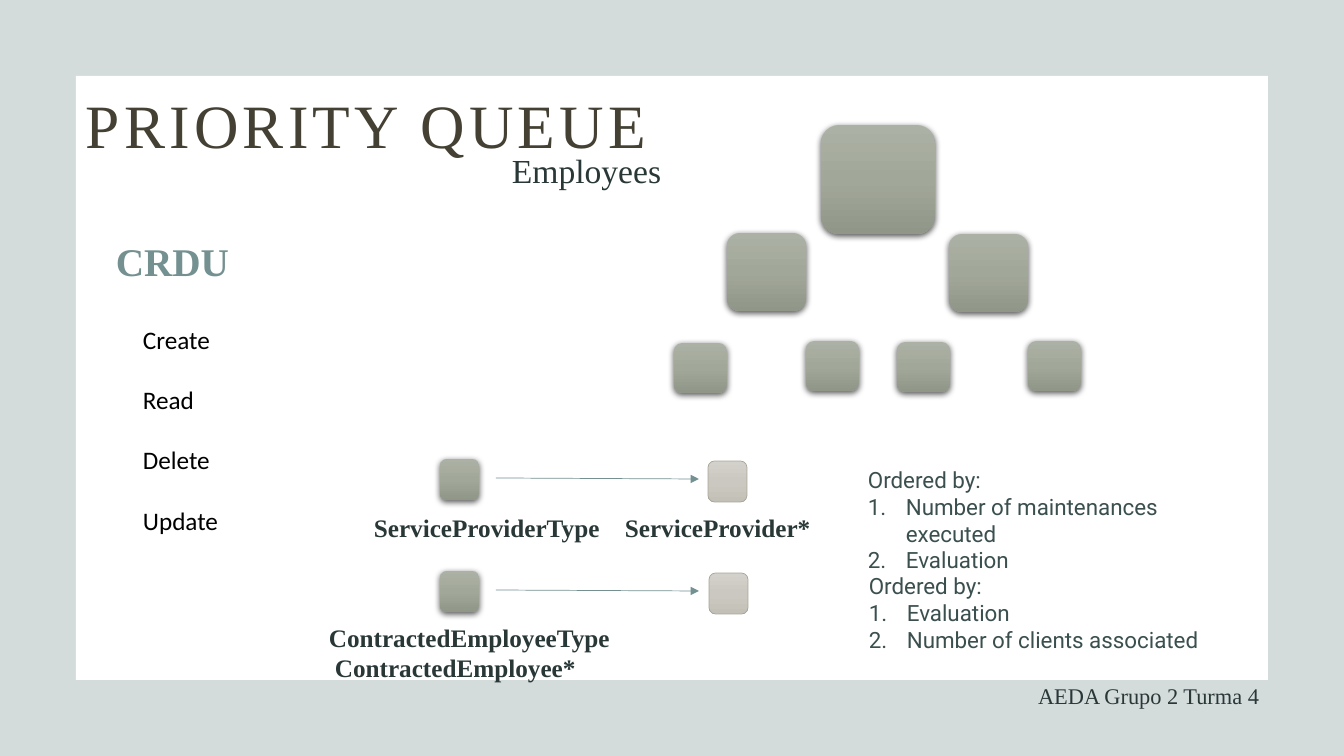
from lxml import etree
from pptx import Presentation
from pptx import util as u
from pptx.dml.color import RGBColor
from pptx.enum import shapes, text
from pptx.oxml import parse_xml
from pptx.oxml.ns import nsdecls, qn

WIDTH, HEIGHT = 1344, 756
SCALE = 12192000 / WIDTH

WHITE = RGBColor(0xFF, 0xFF, 0xFF)
BLACK = RGBColor(0x00, 0x00, 0x00)
FRAME = RGBColor(0x55, 0x72, 0x72)
INK = RGBColor(0x29, 0x37, 0x37)
TITLE = RGBColor(0x44, 0x40, 0x33)
TEAL = RGBColor(0x74, 0x90, 0x90)
SLATE = RGBColor(0x3B, 0x4F, 0x4F)
EDGE = RGBColor(0xA9, 0xA6, 0x98)
DARK_NODE = [RGBColor(0xAC, 0xB1, 0xA5), RGBColor(0xA2, 0xA8, 0x99), RGBColor(0x90, 0x96, 0x88)]
LIGHT_NODE = [RGBColor(0xD3, 0xD1, 0xCB), RGBColor(0xCA, 0xC8, 0xC0), RGBColor(0xC3, 0xC1, 0xB7)]
SERIF, SANS, BODY = "Times New Roman", "Roboto", "Calibri"


def px(length):
    return u.Emu(round(length * SCALE))


class Painter:
    """Draws elements on one page, with all lengths in px."""

    def __init__(self, page):
        self.page = page

    def shape(self, kind, *place):
        shape = self.page.shapes.add_shape(kind, *map(px, place))
        shape.shadow.inherit = False
        shape.line.fill.background()
        return shape

    def panel(self, place, colour, opacity=100):
        panel = self.shape(shapes.MSO_SHAPE.RECTANGLE, *place)
        panel.fill.solid()
        panel.fill.fore_color.rgb = colour
        if opacity < 100:
            tint = panel._element.spPr.find(".//" + qn("a:srgbClr"))
            etree.SubElement(tint, qn("a:alpha")).set("val", str(opacity * 1000))

    def node(self, place, colours, edge=None):
        """Rounded square with a vertical gradient: outlined if edge is given, else shadowed."""
        node = self.shape(shapes.MSO_SHAPE.ROUNDED_RECTANGLE, *place)
        stops = "".join(f'<a:gs pos="{i * 50000}"><a:srgbClr val="{c}"/></a:gs>'
                        for i, c in enumerate(colours))
        properties = node._element.spPr
        properties.insert(2, parse_xml(
            f'<a:gradFill {nsdecls("a")} rotWithShape="1"><a:gsLst>{stops}</a:gsLst>'
            '<a:lin ang="5400000" scaled="0"/></a:gradFill>'))
        if edge is not None:
            node.line.color.rgb = edge
            node.line.width = u.Pt(0.5)
        else:
            properties.find(qn("a:effectLst")).append(parse_xml(
                f'<a:outerShdw {nsdecls("a")} blurRad="57150" dist="19050" dir="5400000" '
                'algn="ctr" rotWithShape="0"><a:srgbClr val="000000">'
                '<a:alpha val="63000"/></a:srgbClr></a:outerShdw>'))

    def arrow(self, *ends):
        arrow = self.page.shapes.add_connector(shapes.MSO_CONNECTOR.STRAIGHT, *map(px, ends))
        arrow.line.color.rgb = TEAL
        arrow.line.width = u.Pt(0.5)
        outline = arrow._element.spPr.find(qn("a:ln"))
        etree.SubElement(outline, qn("a:tailEnd")).set("type", "triangle")
        etree.SubElement(arrow._element.spPr, qn("a:effectLst"))

    def label(self, place, lines, size, font, colour, bold=False, align=None, anchor=None,
              leading=None, gap=0, spacing=0, tab=None, indent=0, numbered=False):
        """Text box; indent, hanging number and gap apply from the second line on."""
        box = self.page.shapes.add_textbox(*map(px, place)).text_frame
        box.word_wrap = True
        box.vertical_anchor = anchor or text.MSO_ANCHOR.TOP
        for index, line in enumerate(lines):
            para = box.paragraphs[0] if index == 0 else box.add_paragraph()
            para.alignment = align
            para.line_spacing = leading
            properties = para._p.get_or_add_pPr()
            if index:
                if gap:
                    para.space_before = u.Pt(gap)
                if indent:
                    properties.set("marL", str(px(indent)))
                if numbered:
                    properties.set("indent", str(-px(indent)))
                    etree.SubElement(properties, qn("a:buAutoNum")).set("type", "arabicPeriod")
            if tab:
                stops = etree.SubElement(properties, qn("a:tabLst"))
                etree.SubElement(stops, qn("a:tab"), pos=str(px(tab)), algn="l")
            span = para.add_run()
            span.text = line
            span.font.size = u.Pt(size)
            span.font.name = font
            span.font.bold = bold
            span.font.color.rgb = colour
            if spacing:
                span._r.get_or_add_rPr().set("spc", str(spacing * 100))


def draw(painter):
    painter.panel((0, 0, WIDTH, HEIGHT), FRAME, opacity=25)
    painter.panel((76, 76, 1192, 604), WHITE)
    painter.label((374, 677, 895, 60), ["AEDA Grupo 2 Turma 4"], 16, SERIF, INK,
                  align=text.PP_ALIGN.RIGHT)
    painter.label((76, 76, 1046, 91), ["PRIORITY QUEUE"], 44, SERIF, TITLE,
                  anchor=text.MSO_ANCHOR.BOTTOM, leading=0.9, spacing=3)
    painter.label((502, 145, 274, 50), ["Employees"], 24, SERIF, INK)
    painter.label((106, 232, 136, 57), ["CRDU"], 28, SERIF, TEAL, bold=True)
    painter.label((133, 319, 480, 224), ["Create", "Read", "Delete", "Update"], 18, BODY, BLACK,
                  gap=21.5)

    tree_levels = [
        ((114, 109), [(821, 125)]),
        ((79, 78), [(727, 233), (949, 234)]),
        ((53, 50), [(674, 343), (806, 341), (897, 342), (1028, 341)]),
    ]
    for size, corners in tree_levels:
        for corner in corners:
            painter.node(corner + size, DARK_NODE)

    for top, light_left in ((459, 708), (571, 709)):
        painter.node((440, top, 39, 41), DARK_NODE)
        painter.node((light_left, top + 2, 39, 41), LIGHT_NODE, EDGE)
        painter.arrow(496, top + 19, 699, top + 20)
    painter.label((364, 507, 469, 40), ["ServiceProviderType\tServiceProvider*"], 18, SERIF, INK,
                  bold=True, tab=251)
    painter.label((319, 617, 540, 70), ["ContractedEmployeeType", "ContractedEmployee*"],
                  18, SERIF, INK, bold=True, indent=6)

    orderings = [
        ((858, 461, 396, 92), ["Number of maintenances executed", "Evaluation"]),
        ((859, 567, 414, 92), ["Evaluation", "Number of clients associated"]),
    ]
    for place, criteria in orderings:
        painter.label(place, ["Ordered by:"] + criteria, 16, SANS, SLATE,
                      indent=38, numbered=True)


def main():
    deck = Presentation()
    deck.slide_width, deck.slide_height = px(WIDTH), px(HEIGHT)
    draw(Painter(deck.slides.add_slide(deck.slide_layouts[6])))
    deck.save("out.pptx")


if __name__ == "__main__":
    main()
